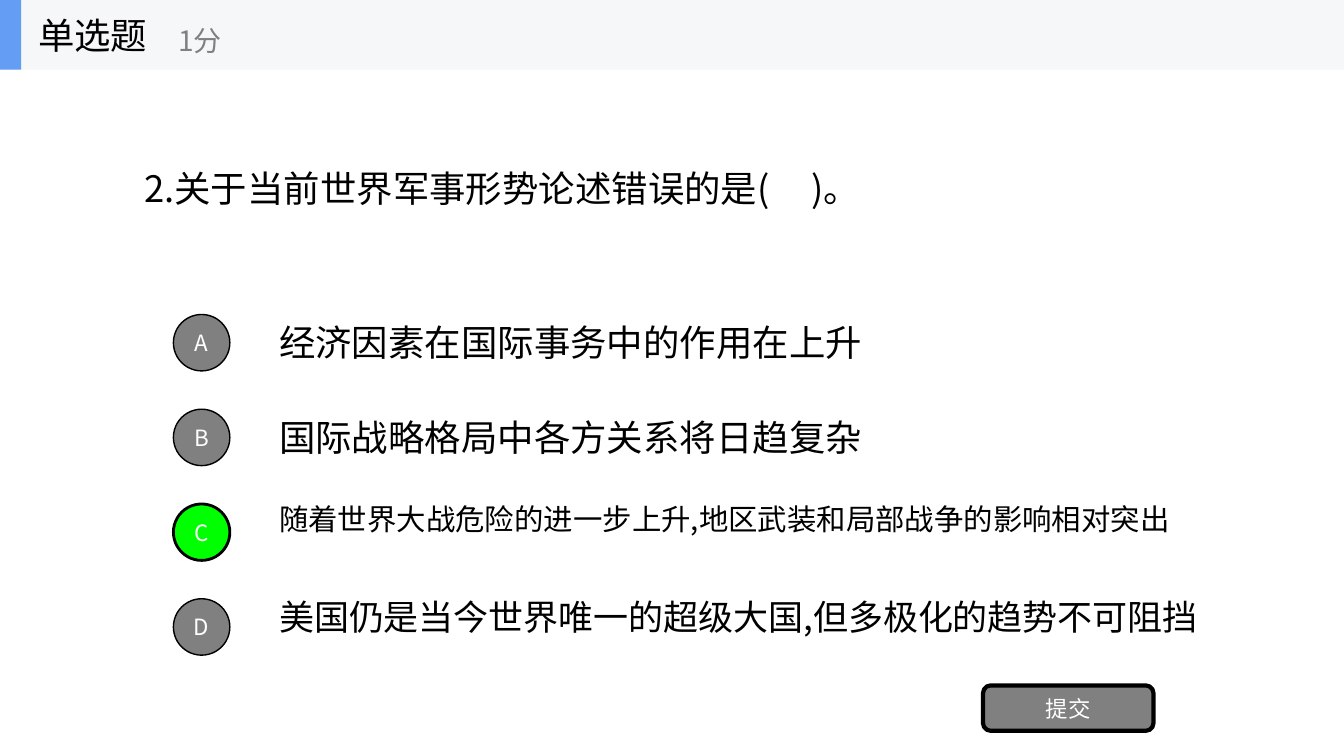
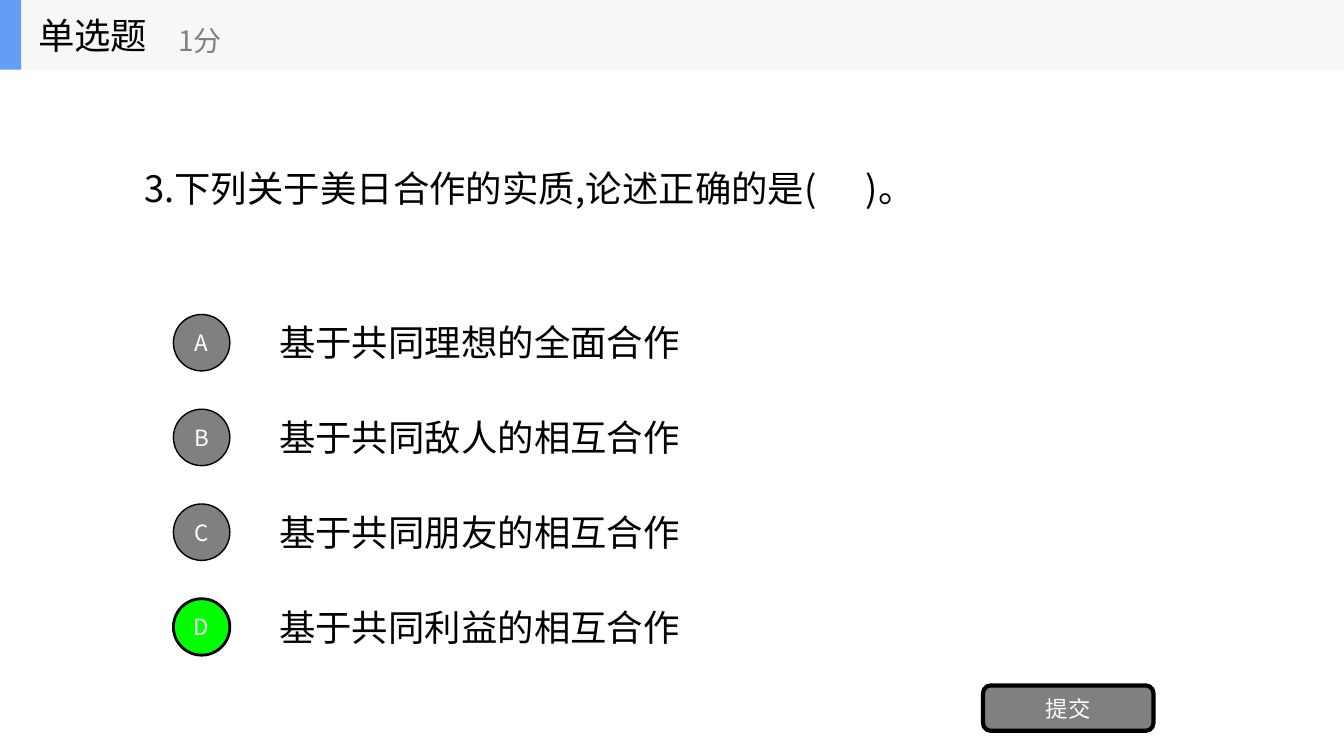
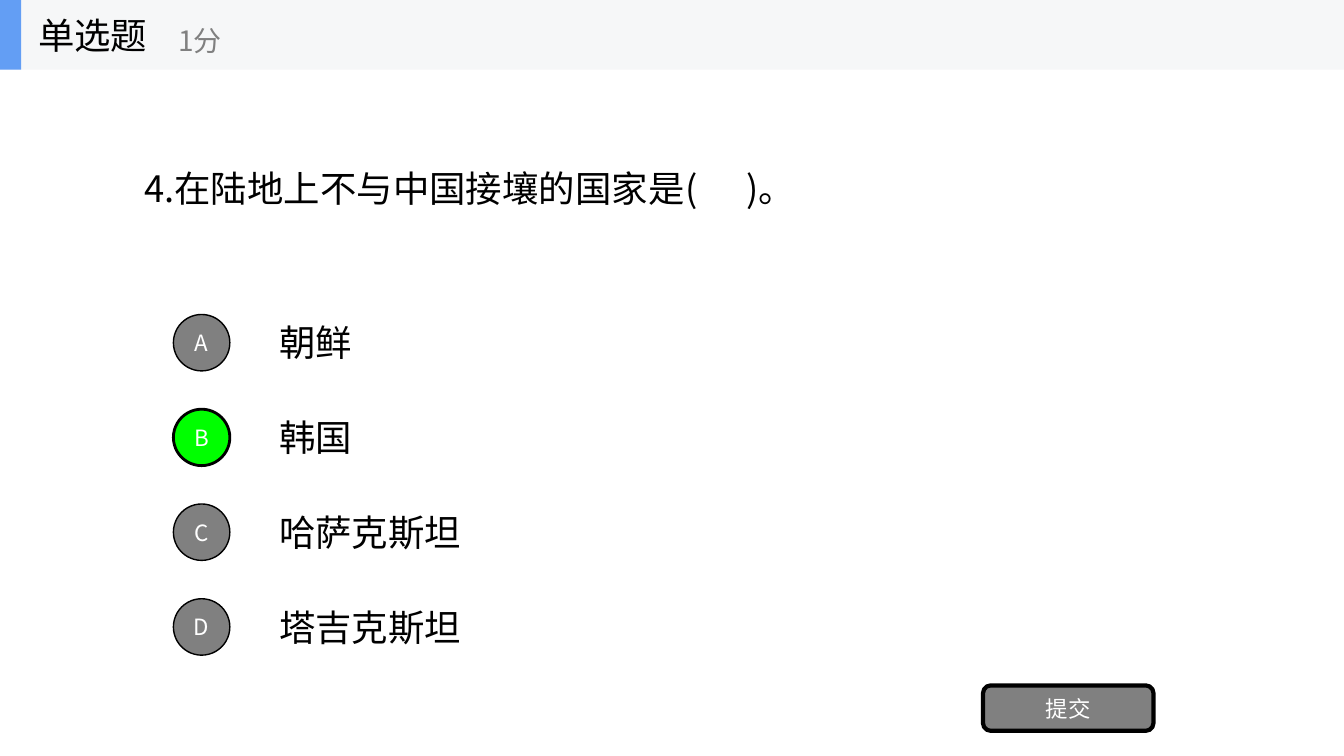
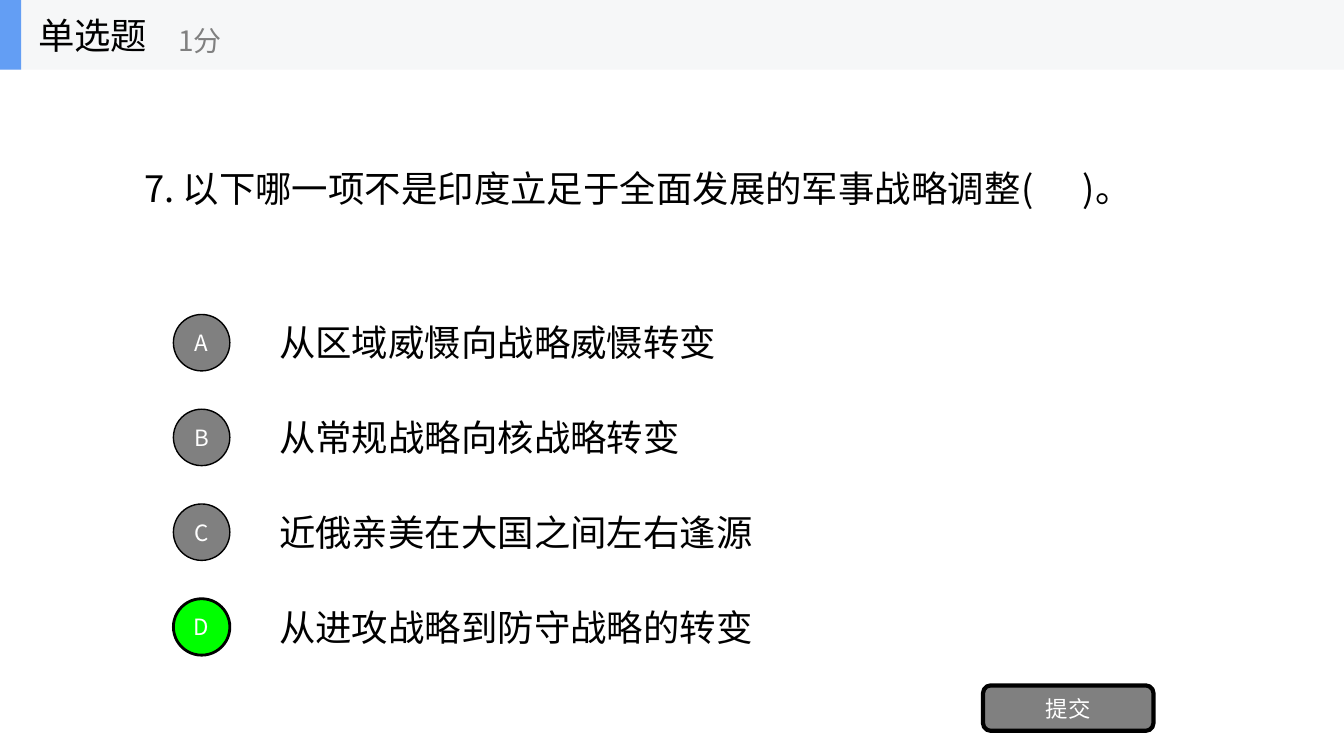
from lxml import etree
from pptx import Presentation
from pptx import util as u
from pptx.dml.color import RGBColor
from pptx.enum import shapes, text
from pptx.oxml.ns import qn

FONT = "Noto Sans CJK SC"
HUES = {
    "band": "F6F7F8", "mark": "639EF4", "ink": "000000",
    "gray": "808080", "right": "00FF00", "white": "FFFFFF",
}
STEP = 0.94  # distance between answer rows

# Question, its width, answers (text, size, rise), right letter
QUIZ = [
    ("2.关于当前世界军事形势论述错误的是(     )。", 7.63, [
        ("经济因素在国际事务中的作用在上升", 26, 0),
        ("国际战略格局中各方关系将日趋复杂", 26, 0),
        ("随着世界大战危险的进一步上升,地区武装和局部战争的影响相对突出", 21, 0.09),
        ("美国仍是当今世界唯一的超级大国,但多极化的趋势不可阻挡", 25, 0.09),
    ], "C"),
    ("3.下列关于美日合作的实质,论述正确的是(      )。", 8.19, [
        ("基于共同理想的全面合作", 26, 0),
        ("基于共同敌人的相互合作", 26, 0),
        ("基于共同朋友的相互合作", 26, 0),
        ("基于共同利益的相互合作", 26, 0),
    ], "D"),
    ("4.在陆地上不与中国接壤的国家是(      )。", 6.91, [
        ("朝鲜", 26, 0),
        ("韩国", 26, 0),
        ("哈萨克斯坦", 26, 0),
        ("塔吉克斯坦", 26, 0),
    ], "B"),
    ("7. 以下哪一项不是印度立足于全面发展的军事战略调整(      )。", 10.27, [
        ("从区域威慑向战略威慑转变", 26, 0),
        ("从常规战略向核战略转变", 26, 0),
        ("近俄亲美在大国之间左右逢源", 26, 0),
        ("从进攻战略到防守战略的转变", 26, 0),
    ], "D"),
]


def hue(name):
    return RGBColor.from_string(HUES[name])


class Deck:
    def __init__(self):
        self.prs = Presentation()
        self.prs.slide_width = u.Inches(13.33)
        self.prs.slide_height = u.Inches(7.5)
        self.slide = None

    def new(self):
        self.slide = self.prs.slides.add_slide(self.prs.slide_layouts[5])

    def fit(self, shape, words, size, color, align=text.PP_ALIGN.LEFT):
        frame = shape.text_frame
        frame.text = words
        frame.vertical_anchor = text.MSO_ANCHOR.MIDDLE
        para = frame.paragraphs[0]
        para.alignment = align
        for run in para.runs:
            run.font.size = u.Pt(size)
            run.font.name = FONT
            run.font.color.rgb = hue(color)
            # East Asian typeface
            east = etree.SubElement(run.font._element, qn("a:ea"))
            east.set("typeface", FONT)
        return frame

    def title(self, words, width):
        shape = self.slide.shapes.title
        shape.left, shape.top = u.Inches(1.33), u.Inches(1.6)
        shape.width, shape.height = u.Inches(width), u.Inches(0.53)
        frame = self.fit(shape, words, 26, "ink")
        frame.word_wrap = True
        frame.auto_size = text.MSO_AUTO_SIZE.SHAPE_TO_FIT_TEXT

    def label(self, home, box, words, size, color="ink", wrap=False):
        shape = home.add_textbox(*map(u.Inches, box))
        frame = self.fit(shape, words, size, color)
        frame.word_wrap = wrap
        if wrap:
            frame.auto_size = text.MSO_AUTO_SIZE.SHAPE_TO_FIT_TEXT

    def block(self, home, kind, box, fill, line=0, words=""):
        shape = home.add_shape(kind, *map(u.Inches, box))
        shape.shadow.inherit = False
        shape.fill.solid()
        shape.fill.fore_color.rgb = hue(fill)
        if line:
            shape.line.color.rgb = hue("ink")
            shape.line.width = u.Pt(line)
        else:
            shape.line.fill.background()
        if words:
            frame = self.fit(shape, words, 16, "white", text.PP_ALIGN.CENTER)
            frame.margin_left = frame.margin_right = 0

    def band(self):
        home = self.slide.shapes.add_group_shape().shapes
        rect = shapes.MSO_SHAPE.RECTANGLE
        self.block(home, rect, (0, 0, 13.33, 0.69), "band")
        self.block(home, rect, (0, 0, 0.21, 0.69), "mark")
        self.label(home, (0.28, 0, 2.08, 0.69), "单选题", 26)
        self.label(home, (1.67, 0.12, 2.5, 0.56), "1分", 20, "gray")

    def answer(self, row, letter, words, size, rise, right):
        home = self.slide.shapes
        # The box follows the text length up to the full column
        width = min(0.36 * len(words) + 0.31, 9.31)
        top = 3.13 + row * STEP - rise
        self.label(home, (2.67, top, width, size / 60 + 0.1), words, size, wrap=True)
        self.block(home, shapes.MSO_SHAPE.OVAL,
                   (1.72, 3.12 + row * STEP, 0.56, 0.56),
                   "right" if right else "gray", 2 if right else 1, letter)

    def button(self):
        self.block(self.slide.shapes, shapes.MSO_SHAPE.ROUNDED_RECTANGLE,
                   (9.75, 6.8, 1.69, 0.45), "gray", 3, "提交")


def main():
    deck = Deck()
    for words, width, answers, key in QUIZ:
        deck.new()
        deck.band()
        deck.title(words, width)
        for row, (letter, item) in enumerate(zip("ABCD", answers)):
            deck.answer(row, letter, *item, letter == key)
        deck.button()
    deck.prs.save("out.pptx")


if __name__ == "__main__":
    main()
